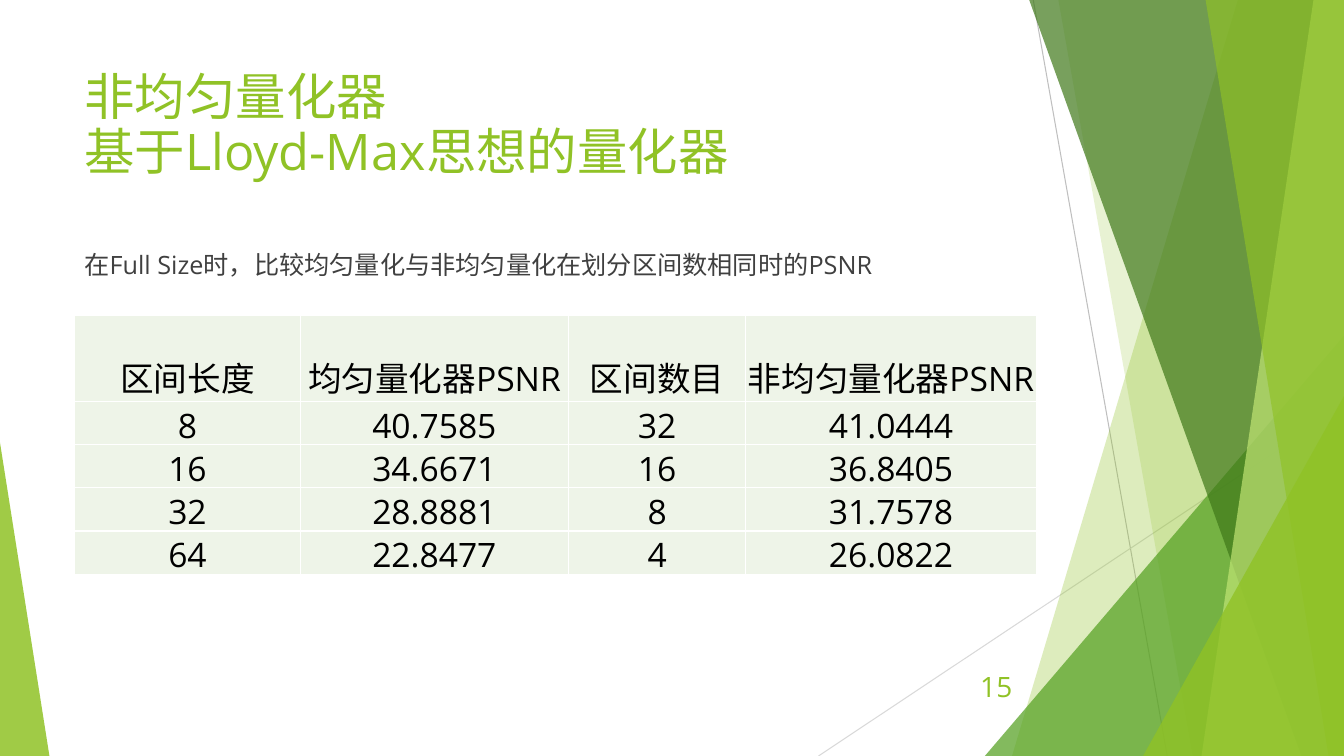
from lxml.etree import SubElement
from pptx import Presentation
from pptx.dml.color import RGBColor
from pptx.enum.shapes import MSO_CONNECTOR, MSO_SHAPE
from pptx.enum.text import MSO_ANCHOR, PP_ALIGN
from pptx.oxml.ns import qn
from pptx.util import Inches, Pt

LIME = RGBColor(0x90, 0xC2, 0x26)
PALE_LIME = RGBColor(0xC0, 0xE4, 0x74)
GREEN = RGBColor(0x54, 0xA0, 0x21)
DARK_GREEN = RGBColor(0x3F, 0x78, 0x19)
CELL_TINT = RGBColor(0xEE, 0xF4, 0xE8)
GREY = RGBColor(0xBF, 0xBF, 0xBF)
LIGHT_GREY = RGBColor(0xD9, 0xD9, 0xD9)
BODY_GREY = RGBColor(0x40, 0x40, 0x40)
BLACK = RGBColor(0, 0, 0)
FONT = "Open Sans"

ROWS = [
    ["区间长度", "均匀量化器PSNR", "区间数目", "非均匀量化器PSNR"],
    ["8", "40.7585", "32", "41.0444"],
    ["16", "34.6671", "16", "36.8405"],
    ["32", "28.8881", "8", "31.7578"],
    ["64", "22.8477", "4", "26.0822"],
]


def write(frame, text, size=18, color=BLACK, align=PP_ALIGN.LEFT,
          anchor=MSO_ANCHOR.TOP, spacing=None):
    frame.word_wrap = True
    frame.vertical_anchor = anchor
    para = frame.paragraphs[0]
    para.alignment = align
    para.line_spacing = spacing
    for index, line in enumerate(text.split("\n")):
        if index:
            para.add_line_break()
        span = para.add_run()
        span.text = line
        span.font.name = FONT
        span.font.size = Pt(size)
        span.font.color.rgb = color


class SlideBuilder:
    """Places elements by percentages of the slide's width and height."""

    def __init__(self, deck):
        self.deck = deck
        self.page = deck.slides.add_slide(deck.slide_layouts[6])
        self.shapes = self.page.shapes

    def x(self, share):
        return round(self.deck.slide_width * share / 100)

    def y(self, share):
        return round(self.deck.slide_height * share / 100)

    def area(self, left, top, width, height):
        return self.x(left), self.y(top), self.x(width), self.y(height)

    def paint(self, shape, color, opacity):
        shape.shadow.inherit = False
        shape.fill.solid()
        shape.fill.fore_color.rgb = color
        shape.line.fill.background()
        tone = shape.element.spPr.find(qn("a:solidFill")).find(qn("a:srgbClr"))
        SubElement(tone, qn("a:alpha"), val=str(opacity * 1000))

    def line(self, start, end, color):
        line = self.shapes.add_connector(
            MSO_CONNECTOR.STRAIGHT, self.x(start[0]), self.y(start[1]),
            self.x(end[0]), self.y(end[1]))
        line.line.color.rgb = color
        line.line.width = Pt(0.75)
        SubElement(line.element.spPr, qn("a:effectLst"))

    def band(self, top, bottom, color, opacity):
        """A slanted left side, filled out to the right edge."""
        outline = self.shapes.build_freeform(self.x(top), 0)
        corners = [(100, 0), (100, 100), (bottom, 100)]
        outline.add_line_segments([(self.x(x), self.y(y)) for x, y in corners])
        self.paint(outline.convert_to_shape(), color, opacity)

    def triangle(self, left, top, width, apex, color, opacity):
        """A triangle that stands on the bottom edge."""
        shape = self.shapes.add_shape(
            MSO_SHAPE.ISOSCELES_TRIANGLE, *self.area(left, top, width, 100 - top))
        shape.adjustments[0] = apex
        self.paint(shape, color, opacity)

    def text(self, area, text, inset_top=0.05, **style):
        box = self.shapes.add_textbox(*self.area(*area))
        box.text_frame.margin_top = Inches(inset_top)
        write(box.text_frame, text, **style)

    def table(self, left, top, widths, heights, rows):
        area = self.area(left, top, sum(widths), sum(heights))
        table = self.shapes.add_table(len(rows), len(widths), *area).table
        for column, width in zip(table.columns, widths):
            column.width = self.x(width)
        for row, height, values in zip(table.rows, heights, rows):
            row.height = self.y(height)
            for cell, value in zip(row.cells, values):
                self.cell(cell, value)

    def cell(self, cell, value):
        write(cell.text_frame, value, size=24, align=PP_ALIGN.CENTER)
        cell.vertical_anchor = MSO_ANCHOR.BOTTOM
        cell.margin_left = cell.margin_right = cell.margin_top = Inches(0.01)
        cell.margin_bottom = 0
        properties = cell._tc.get_or_add_tcPr()
        for side in ("lnL", "lnR", "lnT", "lnB"):
            border = SubElement(properties, qn(f"a:{side}"), w=str(Pt(1)))
            fill = SubElement(border, qn("a:solidFill"))
            SubElement(fill, qn("a:srgbClr"), val="FFFFFF")
        cell.fill.solid()
        cell.fill.fore_color.rgb = CELL_TINT


def main():
    deck = Presentation()
    deck.slide_width, deck.slide_height = Inches(13.33), Inches(7.5)
    slide = SlideBuilder(deck)

    # Faceted backdrop
    slide.line((76.88, 0), (86.85, 100), GREY)
    slide.line((100, 53.73), (60.9, 100), LIGHT_GREY)
    slide.band(92.1, 75.3, LIME, 30)
    slide.band(78.75, 88.73, LIME, 20)
    slide.triangle(73.28, 44.4, 26.72, 1, GREEN, 72)
    slide.band(76.58, 96.83, DARK_GREEN, 70)
    slide.band(97.73, 89.4, PALE_LIME, 70)
    slide.band(89.7, 98.85, LIME, 65)
    slide.triangle(85.05, 52.4, 14.95, 1, LIME, 80)
    slide.triangle(0, 58.53, 3.68, 0, LIME, 85)

    # Title and lead sentence
    slide.text((5.55, 8.93, 70.5, 19.2), "非均匀量化器\n基于Lloyd-Max思想的量化器",
               size=36, color=LIME, spacing=0.9)
    slide.text((5.55, 26.67, 70.5, 70.8),
               "在Full Size时，比较均匀量化与非均匀量化在划分区间数相同时的PSNR",
               inset_top=0.47, color=BODY_GREY)

    # PSNR comparison
    slide.table(5.55, 41.73, [16.8, 19.95, 13.2, 21.6],
                [11.33] + [5.73] * 4, ROWS)

    # Page number
    slide.text((70.43, 88.13, 5.63, 5.33), "15", size=20, color=LIME,
               align=PP_ALIGN.RIGHT, anchor=MSO_ANCHOR.MIDDLE)

    deck.save("out.pptx")


if __name__ == "__main__":
    main()
